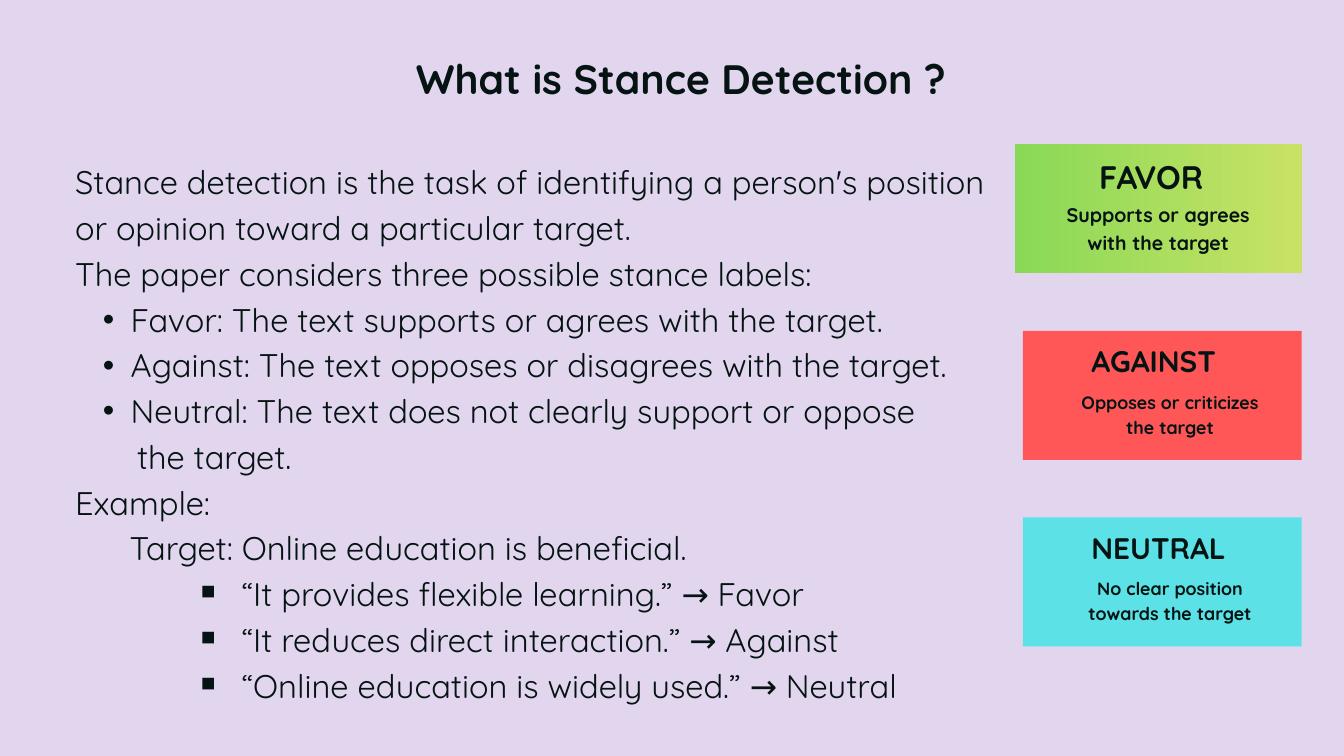
from lxml import etree
from pptx import Presentation
from pptx.dml.color import RGBColor
from pptx.enum import shapes, text
from pptx.oxml import ns
from pptx.util import Cm, Pt

FONT = "Quicksand"
COLORS = {
    "background": "E2D6EF", "ink": "061313",
    "lime": "89D957", "yellow": "C9E265", "red": "FF5757", "cyan": "5CE1E6",
}

# Content
TITLE = "What is Stance Detection ?"
BODY = [  # style, wording
    ("plain", "Stance detection is the task of identifying a person's position"),
    ("plain", "or opinion toward a particular target."),
    ("plain", "The paper considers three possible stance labels:"),
    ("label", "Favor: The text supports or agrees with the target."),
    ("label", "Against: The text opposes or disagrees with the target."),
    ("label", "Neutral: The text does not clearly support or oppose"),
    ("continued", "the target."),
    ("plain", "Example:"),
    ("target", "Target: Online education is beneficial."),
    ("example", "“It provides flexible learning.” → Favor"),
    ("example", "“It reduces direct interaction.” → Against"),
    ("example", "“Online education is widely used.” → Neutral"),
]
STYLES = {  # level, left margin (cm), first-line indent (cm), bullet
    "plain": (0, 0, 0, None),
    "label": (1, 2.1, -1.05, "•"),
    "continued": (0, 2.34, 0, None),
    "target": (0, 2.06, 0, None),
    "example": (3, 6.3, -1.57, "￭"),
}
CARDS = [  # heading, detail lines, fill colours, layout
    ("FAVOR", ["Supports or agrees", "with the target"], ["lime", "yellow"], "wide"),
    ("AGAINST", ["Opposes or criticizes", "the target"], ["red"], "narrow"),
    ("NEUTRAL", ["No clear position", "towards the target"], ["cyan"], "narrow"),
]
# Boxes are left, offset from the card top, width, height (cm)
CARD_LAYOUTS = {
    "wide": {"left": 38.35, "heading": (41.55, 0.23, 4.45, 1.57), "heading_size": 34.9,
             "detail": (40.21, 2.06, 7.14, 1.98), "detail_size": 21.1},
    "narrow": {"left": 38.66, "heading": (41.25, 0.24, 5.94, 1.45), "heading_size": 31.8,
               "detail": (39.6, 2.15, 9.25, 1.8), "detail_size": 19.2},
}
CARD_TOP, CARD_PITCH, CARD_HEIGHT, CARD_RIGHT = 5.46, 7.05, 4.88, 49.2
LINE_FACTOR = 1.4


def color(name):
    return RGBColor.from_string(COLORS[name])


def add_text(parent, box, lines, size, alignment, bold=False):
    frame = parent.add_textbox(*map(Cm, box)).text_frame
    frame.margin_left = frame.margin_right = frame.margin_top = frame.margin_bottom = 0
    frame.word_wrap = True
    frame.auto_size = text.MSO_AUTO_SIZE.SHAPE_TO_FIT_TEXT
    frame.text = "\n".join(lines)
    for paragraph in frame.paragraphs:
        paragraph.alignment = alignment
        paragraph.line_spacing = Pt(round(size * LINE_FACTOR, 1))
        font = paragraph.runs[0].font
        font.name, font.size, font.bold = FONT, Pt(size), bold
        font.color.rgb = color("ink")
    return frame


def style_paragraph(paragraph, style):
    level, margin, indent, bullet = STYLES[style]
    paragraph.level = level
    properties = paragraph._p.get_or_add_pPr()
    properties.set("marL", str(Cm(margin)))
    properties.set("indent", str(Cm(indent)))
    if bullet:
        etree.SubElement(properties, ns.qn("a:buFont")).set("typeface", "Arial")
        etree.SubElement(properties, ns.qn("a:buChar")).set("char", bullet)


def add_card(slide, top, heading, details, fills, layout_name):
    layout = CARD_LAYOUTS[layout_name]
    group = slide.shapes.add_group_shape().shapes
    panel = group.add_shape(
        shapes.MSO_SHAPE.RECTANGLE, Cm(layout["left"]), Cm(top),
        Cm(CARD_RIGHT - layout["left"]), Cm(CARD_HEIGHT))
    panel.shadow.inherit = False
    panel.line.fill.background()
    if len(fills) > 1:
        panel.fill.gradient()
        panel.fill.gradient_angle = 0
        for stop, name in zip(panel.fill.gradient_stops, fills):
            stop.color.rgb = color(name)
    else:
        panel.fill.solid()
        panel.fill.fore_color.rgb = color(fills[0])

    for part, lines, alignment in (
        ("heading", [heading], text.PP_ALIGN.LEFT),
        ("detail", details, text.PP_ALIGN.CENTER),
    ):
        left, offset, width, height = layout[part]
        add_text(group, (left, top + offset, width, height), lines,
                 layout[part + "_size"], alignment, bold=True)


def main():
    presentation = Presentation()
    presentation.slide_width, presentation.slide_height = Cm(50.8), Cm(28.58)
    slide = presentation.slides.add_slide(presentation.slide_layouts[6])
    slide.background.fill.solid()
    slide.background.fill.fore_color.rgb = color("background")

    # Explanation
    body = add_text(slide.shapes, (2.84, 5.89, 34.82, 20.55),
                    [wording for _, wording in BODY], 35, text.PP_ALIGN.JUSTIFY)
    for paragraph, (style, _) in zip(body.paragraphs, BODY):
        style_paragraph(paragraph, style)

    # Title
    add_text(slide.shapes, (15.72, 1.7, 23.83, 2.11), [TITLE], 44,
             text.PP_ALIGN.LEFT, bold=True)

    # Stance cards
    for index, card in enumerate(CARDS):
        add_card(slide, CARD_TOP + index * CARD_PITCH, *card)

    presentation.save("out.pptx")


if __name__ == "__main__":
    main()
